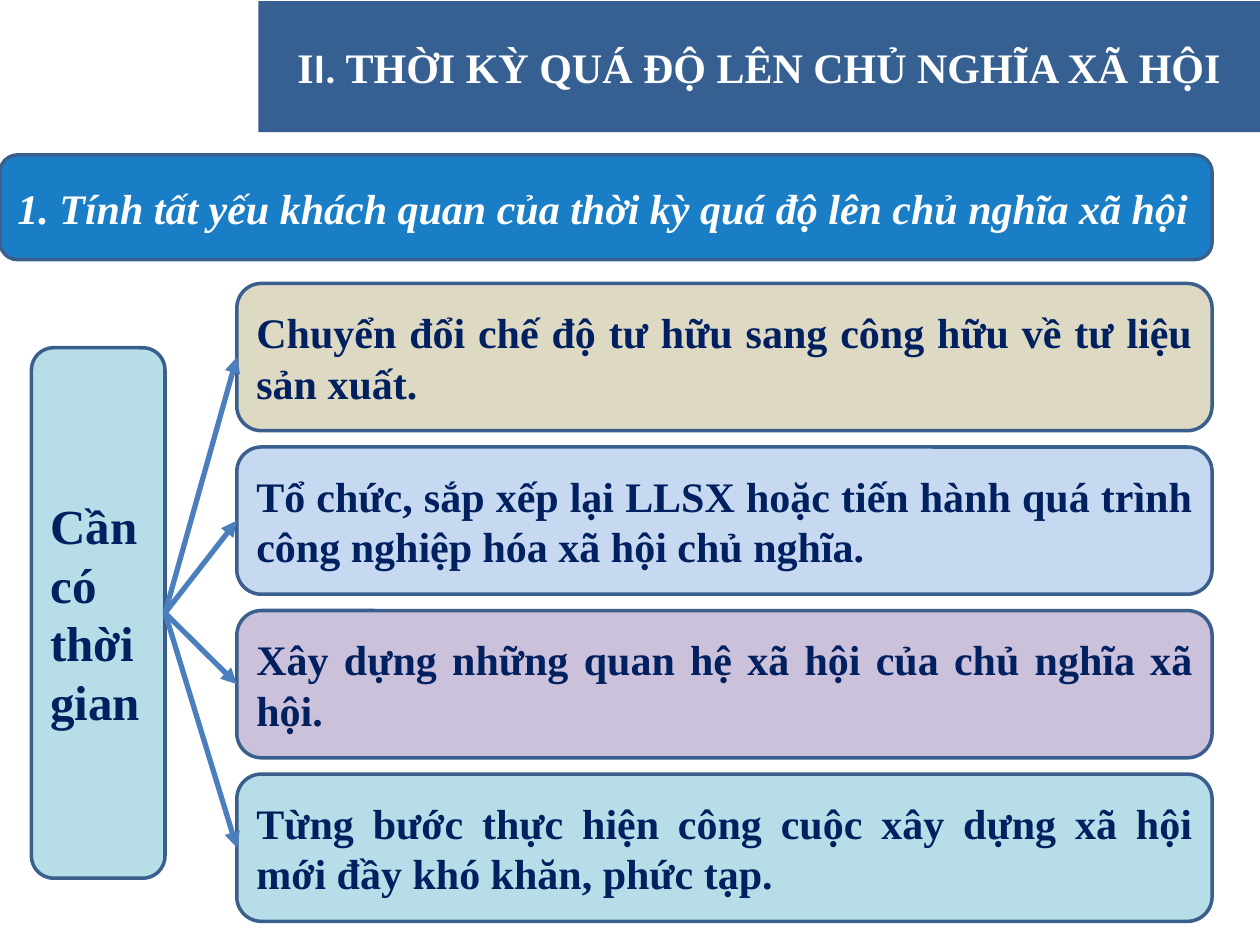
from lxml.etree import SubElement
from pptx import Presentation
from pptx.dml.color import RGBColor
from pptx.enum.shapes import MSO_CONNECTOR, MSO_SHAPE
from pptx.enum.text import MSO_ANCHOR, PP_ALIGN
from pptx.oxml.ns import qn
from pptx.util import Inches, Pt

COLORS = {
    "banner": "376092", "heading": "0070C0", "outline": "3A5F8C",
    "arrow": "4B7EBC", "white": "FFFFFF", "navy": "002060",
    "sand": "DDD9C3", "sky": "C6D9F1", "lilac": "CCC1DA", "aqua": "B7DEE8",
}
SERIF = "Times New Roman"
WIDTH, HEIGHT = Inches(10), Inches(7.5)
COLUMN, ROW = WIDTH / 100, HEIGHT / 100
RIGHT, LEFT = 3, 1

TASKS = [
    ("sand", "Chuyển đổi chế độ tư hữu sang công hữu về tư liệu sản xuất."),
    ("sky", "Tổ chức, sắp xếp lại LLSX hoặc tiến hành quá trình "
            "công nghiệp hóa xã hội chủ nghĩa."),
    ("lilac", "Xây dựng những quan hệ xã hội của chủ nghĩa xã hội."),
    ("aqua", "Từng bước thực hiện công cuộc xây dựng xã hội mới "
             "đầy khó khăn, phức tạp."),
]


def rgb(name):
    """Return the named colour."""
    return RGBColor.from_string(COLORS[name])


def add_panel(slide, box, fill, preset=MSO_SHAPE.ROUNDED_RECTANGLE):
    """Add an outlined panel; box is left, top, width, height in columns and rows."""
    left, top, width, height = box
    panel = slide.shapes.add_shape(preset, round(left * COLUMN), round(top * ROW),
                                   round(width * COLUMN), round(height * ROW))
    panel.shadow.inherit = False
    panel.fill.solid()
    panel.fill.fore_color.rgb = rgb(fill)
    panel.line.color.rgb = rgb("outline")
    panel.line.width = Pt(2)
    panel.text_frame.word_wrap = True
    panel.text_frame.vertical_anchor = MSO_ANCHOR.MIDDLE
    return panel


def write(panel, runs, align, color, size=24, italic=False):
    """Write one bold paragraph from (text, font) runs."""
    paragraph = panel.text_frame.paragraphs[0]
    paragraph.alignment = align
    for text, font in runs:
        run = paragraph.add_run()
        run.text = text
        run.font.name = font
        run.font.size = Pt(size)
        run.font.bold = True
        run.font.italic = italic
        run.font.color.rgb = rgb(color)


def add_banner(slide, box):
    """Add the chapter title band."""
    banner = add_panel(slide, box, "banner", MSO_SHAPE.RECTANGLE)
    banner.line.fill.background()
    write(banner, [("I", SERIF), ("I. ", "Calibri"),
                   ("THỜI KỲ QUÁ ĐỘ LÊN CHỦ NGHĨA XÃ HỘI", SERIF)],
          PP_ALIGN.CENTER, "white")


def add_heading(slide, box):
    """Add the slightly transparent section heading."""
    heading = add_panel(slide, box, "heading")
    solid = heading._element.spPr.find(qn("a:solidFill"))
    SubElement(solid[0], qn("a:alpha"), val="90000")
    write(heading, [("1. Tính tất yếu khách quan của thời kỳ quá độ lên chủ nghĩa xã hội",
                     SERIF)], PP_ALIGN.LEFT, "white", italic=True)


def add_need(slide, box):
    """Add the tall panel from which the arrows leave."""
    need = add_panel(slide, box, "aqua")
    write(need, [("Cần có thời gian", SERIF)], PP_ALIGN.JUSTIFY, "navy", size=28)
    return need


def add_arrow(slide, source, target):
    """Join the right side of source to the left side of target."""
    arrow = slide.shapes.add_connector(MSO_CONNECTOR.STRAIGHT, 0, 0, 0, 0)
    arrow.begin_connect(source, RIGHT)
    arrow.end_connect(target, LEFT)
    arrow.line.color.rgb = rgb("arrow")
    arrow.line.width = Pt(3)
    SubElement(arrow.line._get_or_add_ln(), qn("a:tailEnd"), type="triangle")
    SubElement(arrow._element.spPr, qn("a:effectLst"))


def add_tasks(slide, box, need, gap=1.73):
    """Stack the task panels evenly in the box and point an arrow at each."""
    left, top, width, height = box
    panel_height = (height - gap * (len(TASKS) - 1)) / len(TASKS)
    panels = []
    for index, (fill, text) in enumerate(TASKS):
        panel_top = top + index * (panel_height + gap)
        panel = add_panel(slide, (left, panel_top, width, panel_height), fill)
        write(panel, [(text, SERIF)], PP_ALIGN.JUSTIFY, "navy")
        panels.append(panel)
    for panel in panels:
        add_arrow(slide, need, panel)


def main():
    """Build and save the slide."""
    deck = Presentation()
    deck.slide_width, deck.slide_height = WIDTH, HEIGHT
    slide = deck.slides.add_slide(deck.slide_layouts[6])
    add_banner(slide, (20.5, 0.13, 79.5, 13.87))
    add_heading(slide, (0, 16.4, 96.2, 11.07))
    need = add_need(slide, (2.5, 36.8, 10.6, 56.13))
    add_tasks(slide, (18.8, 30, 77.4, 67.5), need)
    deck.save("out.pptx")


if __name__ == "__main__":
    main()
